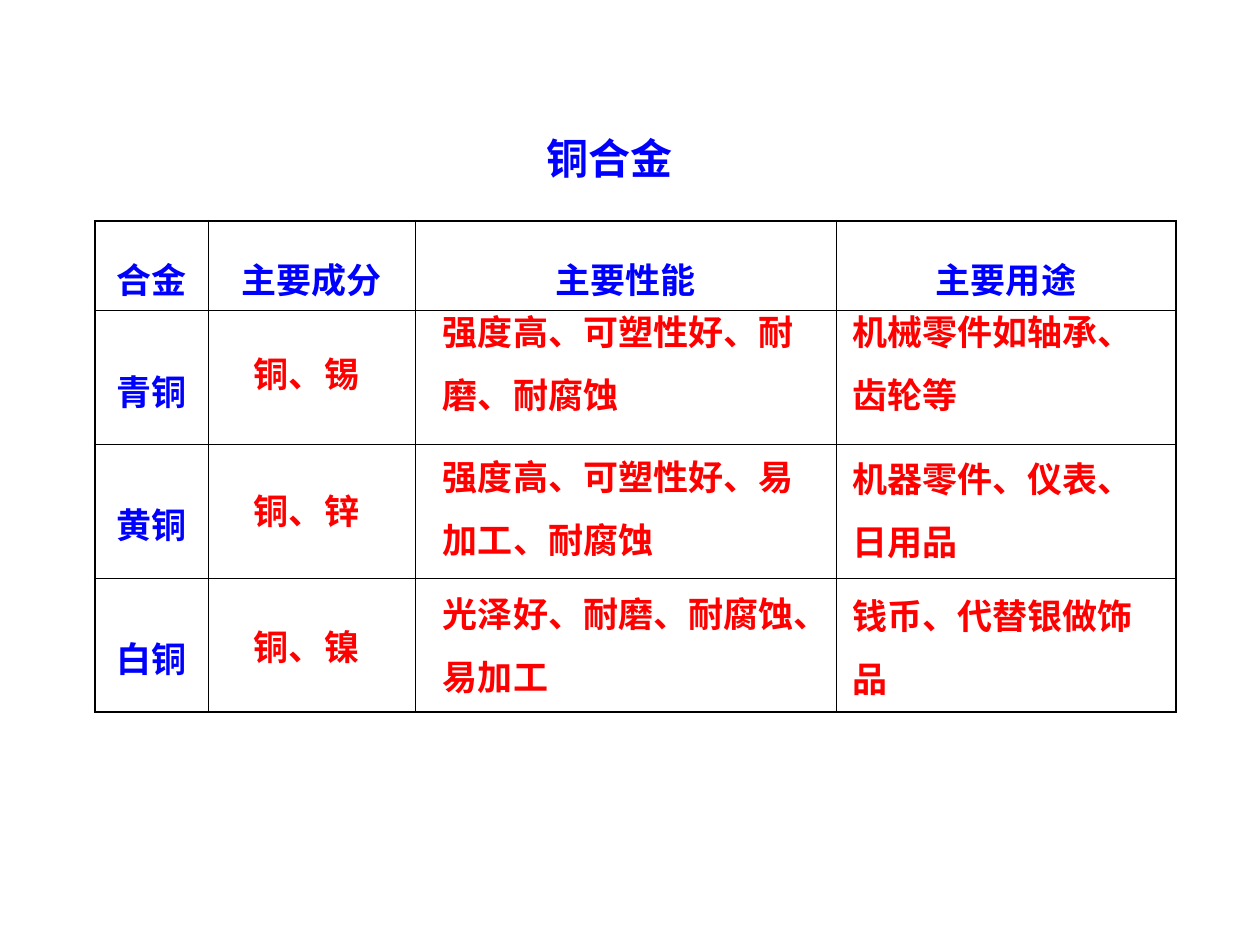
from dataclasses import dataclass

from lxml.etree import SubElement
from pptx import Presentation
from pptx.dml.color import RGBColor
from pptx.enum.text import MSO_ANCHOR, MSO_AUTO_SIZE, PP_ALIGN
from pptx.oxml.ns import qn
from pptx.util import Cm, Pt


@dataclass(frozen=True)
class Theme:
    """Colours, fonts and sizes of the slide."""

    label: RGBColor = RGBColor(0x00, 0x00, 0xFF)
    answer: RGBColor = RGBColor(0xFF, 0x00, 0x00)
    border: str = "000000"
    font: str = "Arial"
    alloy_font: str = "Times New Roman"
    title_size: Pt = Pt(24)
    body_size: Pt = Pt(20)
    outer_line: Pt = Pt(1.08)
    inner_line: Pt = Pt(0.45)


THEME = Theme()
HEADINGS = ["合金", "主要成分", "主要性能", "主要用途"]
ALLOYS = ["青铜", "黄铜", "白铜"]
COLUMN_WIDTHS = [2.29, 4.17, 8.48, 6.86]
ROW_HEIGHTS = [1.8, 2.7, 2.7, 2.7]
COMPONENTS = [("铜、锡", 6.99), ("铜、锌", 9.74), ("铜、镍", 12.49)]
PROPERTIES = [
    ("强度高、可塑性好、耐磨、耐腐蚀", 5.72, 8.05),
    ("强度高、可塑性好、易加工、耐腐蚀", 8.64, 7.83),
    ("光泽好、耐磨、耐腐蚀、易加工", 11.39, 8.25),
]
USES = [
    ("机械零件如轴承、齿轮等", 5.72, 6.56),
    ("机器零件、仪表、日用品", 8.68, 6.56),
    ("钱币、代替银做饰品", 11.43, 6.35),
]


def style_paragraph(para, text, color, size=THEME.body_size, font=THEME.font):
    """Write bold text into a paragraph."""
    para.text = text
    para.font.name = font
    para.font.size = size
    para.font.bold = True
    para.font.color.rgb = color


def set_borders(cell, widths):
    """Draw the left, right, top and bottom borders of a cell."""
    properties = cell._tc.get_or_add_tcPr()
    for index, (side, width) in enumerate(zip("LRTB", widths)):
        line = SubElement(properties, qn(f"a:ln{side}"), w=str(int(width)))
        fill = SubElement(line, qn("a:solidFill"))
        SubElement(fill, qn("a:srgbClr"), val=THEME.border)
        properties.insert(index, line)


def write_label(cell, text, font):
    """Write a centred label into a table cell."""
    cell.vertical_anchor = MSO_ANCHOR.MIDDLE
    para = cell.text_frame.paragraphs[0]
    para.alignment = PP_ALIGN.CENTER
    para.line_spacing = 1.5
    style_paragraph(para, text, THEME.label, font=font)


def add_alloy_table(page):
    """Add the ruled table with its headings and alloy names."""
    row_count, column_count = len(ROW_HEIGHTS), len(COLUMN_WIDTHS)
    table = page.shapes.add_table(
        row_count, column_count, Cm(1.91), Cm(4.45),
        Cm(sum(COLUMN_WIDTHS)), Cm(sum(ROW_HEIGHTS)),
    ).table
    table.first_row = False
    table.horz_banding = False
    for column, width in zip(table.columns, COLUMN_WIDTHS):
        column.width = Cm(width)
    for row, height in zip(table.rows, ROW_HEIGHTS):
        row.height = Cm(height)
    for row in range(row_count):
        for column in range(column_count):
            cell = table.cell(row, column)
            cell.fill.background()
            edges = (column == 0, column == column_count - 1,
                     row == 0, row == row_count - 1)
            set_borders(cell, [THEME.outer_line if edge else THEME.inner_line
                               for edge in edges])
    for column, heading in enumerate(HEADINGS):
        write_label(table.cell(0, column), heading, THEME.font)
    for row, alloy in enumerate(ALLOYS, start=1):
        write_label(table.cell(row, 0), alloy, THEME.alloy_font)


def add_text(page, text, left, top, width, height, color,
             size=THEME.body_size, spacing=None):
    """Add a wrapping text box and return it."""
    box = page.shapes.add_textbox(Cm(left), Cm(top), Cm(width), Cm(height))
    box.text_frame.word_wrap = True
    box.text_frame.auto_size = MSO_AUTO_SIZE.SHAPE_TO_FIT_TEXT
    para = box.text_frame.paragraphs[0]
    para.line_spacing = spacing
    style_paragraph(para, text, color, size)
    return box


def add_title(page):
    """Add the centred title."""
    box = add_text(page, "铜合金", 8.47, 2.54, 7.62, 1.27,
                   THEME.label, THEME.title_size)
    box.text_frame.vertical_anchor = MSO_ANCHOR.MIDDLE
    box.text_frame.paragraphs[0].alignment = PP_ALIGN.CENTER


def add_answers(page):
    """Add the red answers over the table, row by row."""
    for component, *details in zip(COMPONENTS, PROPERTIES, USES):
        text, top = component
        add_text(page, text, 4.87, top, 3.18, 1.11, THEME.answer)
        for left, (text, top, width) in zip((8.68, 16.93), details):
            add_text(page, text, left, top, width, 2.79, THEME.answer,
                     spacing=1.5)


def main():
    """Build and save the slide."""
    deck = Presentation()
    deck.slide_width, deck.slide_height = Cm(25.4), Cm(19.05)
    page = deck.slides.add_slide(deck.slide_layouts[6])
    add_alloy_table(page)
    add_title(page)
    add_answers(page)
    deck.save("out.pptx")


if __name__ == "__main__":
    main()
